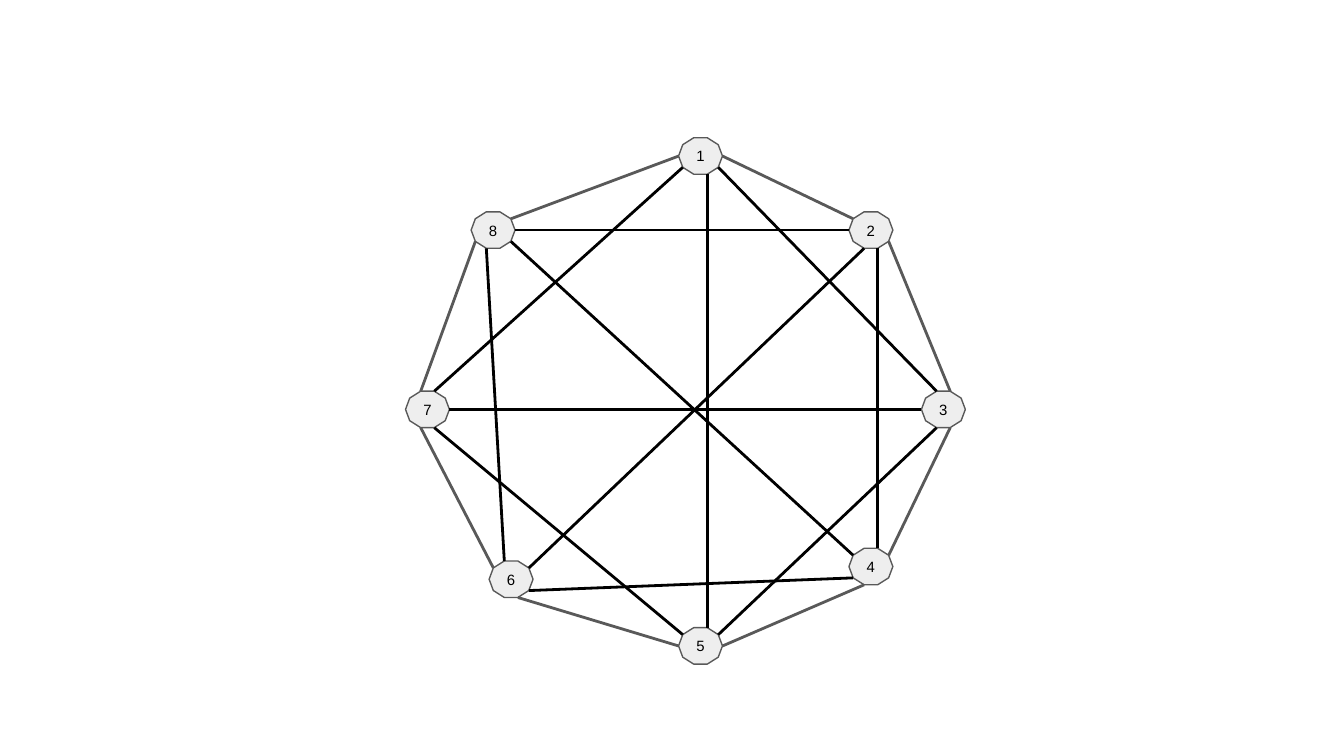
import math
import pptx
import pptx.util
import pptx.dml.color
import pptx.enum.shapes
import pptx.enum.text
import pptx.oxml

Cm = pptx.util.Cm
Pt = pptx.util.Pt
RGBColor = pptx.dml.color.RGBColor

BLACK = RGBColor(0x00, 0x00, 0x00)
GREY = RGBColor(0x59, 0x59, 0x59)
PALE = RGBColor(0xEE, 0xEE, 0xEE)

WIDE, HIGH = 0.83, 0.69
STRETCH = 1.051

NODES = {
    1: (13.24, 2.95),
    5: (13.24, 12.21),
    7: (8.08, 7.74),
    3: (17.83, 7.74),
    2: (16.46, 4.35),
    4: (16.46, 10.71),
    8: (9.32, 4.35),
    6: (9.66, 10.95),
}

# Each end is (node, corner); corners run clockwise from 0 at the right.
RIM = [
    ((1, 0), (2, 6)), ((2, 1), (3, 8)), ((3, 2), (4, 9)), ((4, 3), (5, 0)),
    ((5, 5), (6, 2)), ((6, 6), (7, 3)), ((7, 7), (8, 4)), ((8, 9), (1, 5)),
]
CHORDS = [
    ((1, 1), (3, 7)), ((2, 2), (4, 8)), ((3, 3), (5, 9)), ((4, 4), (6, 1)),
    ((5, 6), (7, 2)), ((6, 7), (8, 3)), ((8, 0), (2, 5)), ((7, 8), (1, 4)),
    ((5, 8), (1, 2)), ((7, 0), (3, 5)), ((6, 9), (2, 3)), ((8, 1), (4, 6)),
]


class Graph:
    font = {"name": "Arial", "size": Pt(8)}
    frame = {
        "margin_left": Cm(0.25),
        "margin_right": Cm(0.25),
        "margin_top": Cm(0.25),
        "margin_bottom": Cm(0.25),
        "vertical_anchor": pptx.enum.text.MSO_ANCHOR.MIDDLE,
        "word_wrap": False,
    }

    def __init__(self, slide):
        self.shapes = slide.shapes

    def style(self, target, values):
        for key, value in values.items():
            setattr(target, key, value)

    def node(self, label, x, y):
        shape = self.shapes.add_shape(
            pptx.enum.shapes.MSO_SHAPE.DECAGON,
            Cm(x - WIDE / 2), Cm(y - HIGH / 2), Cm(WIDE), Cm(HIGH))
        shape.shadow.inherit = False
        shape.fill.solid()
        shape.fill.fore_color.rgb = PALE
        shape.line.color.rgb = GREY
        shape.line.width = Pt(0.75)
        self.style(shape.text_frame, self.frame)
        para = shape.text_frame.paragraphs[0]
        para.alignment = pptx.enum.text.PP_ALIGN.CENTER
        run = para.add_run()
        run.text = str(label)
        self.style(run.font, self.font)
        run.font.color.rgb = BLACK

    def corner(self, label, index):
        x, y = NODES[label]
        angle = math.radians(36 * index)
        return (Cm(x + WIDE / 2 * math.cos(angle)),
                Cm(y + HIGH / 2 * STRETCH * math.sin(angle)))

    def edge(self, start, end, color):
        line = self.shapes.add_connector(
            pptx.enum.shapes.MSO_CONNECTOR.STRAIGHT,
            *self.corner(*start), *self.corner(*end))
        line.line.color.rgb = color
        line.line.width = Pt(1.5)
        line._element.spPr.append(pptx.oxml.parse_xml(
            '<a:effectLst xmlns:a='
            '"http://schemas.openxmlformats.org/drawingml/2006/main"/>'))


def main():
    deck = pptx.Presentation()
    deck.slide_width = Cm(25.4)
    deck.slide_height = Cm(14.29)
    graph = Graph(deck.slides.add_slide(deck.slide_layouts[6]))
    for label, (x, y) in NODES.items():
        graph.node(label, x, y)
    for edges, color in ((RIM, GREY), (CHORDS, BLACK)):
        for start, end in edges:
            graph.edge(start, end, color)
    deck.save("out.pptx")


if __name__ == "__main__":
    main()
